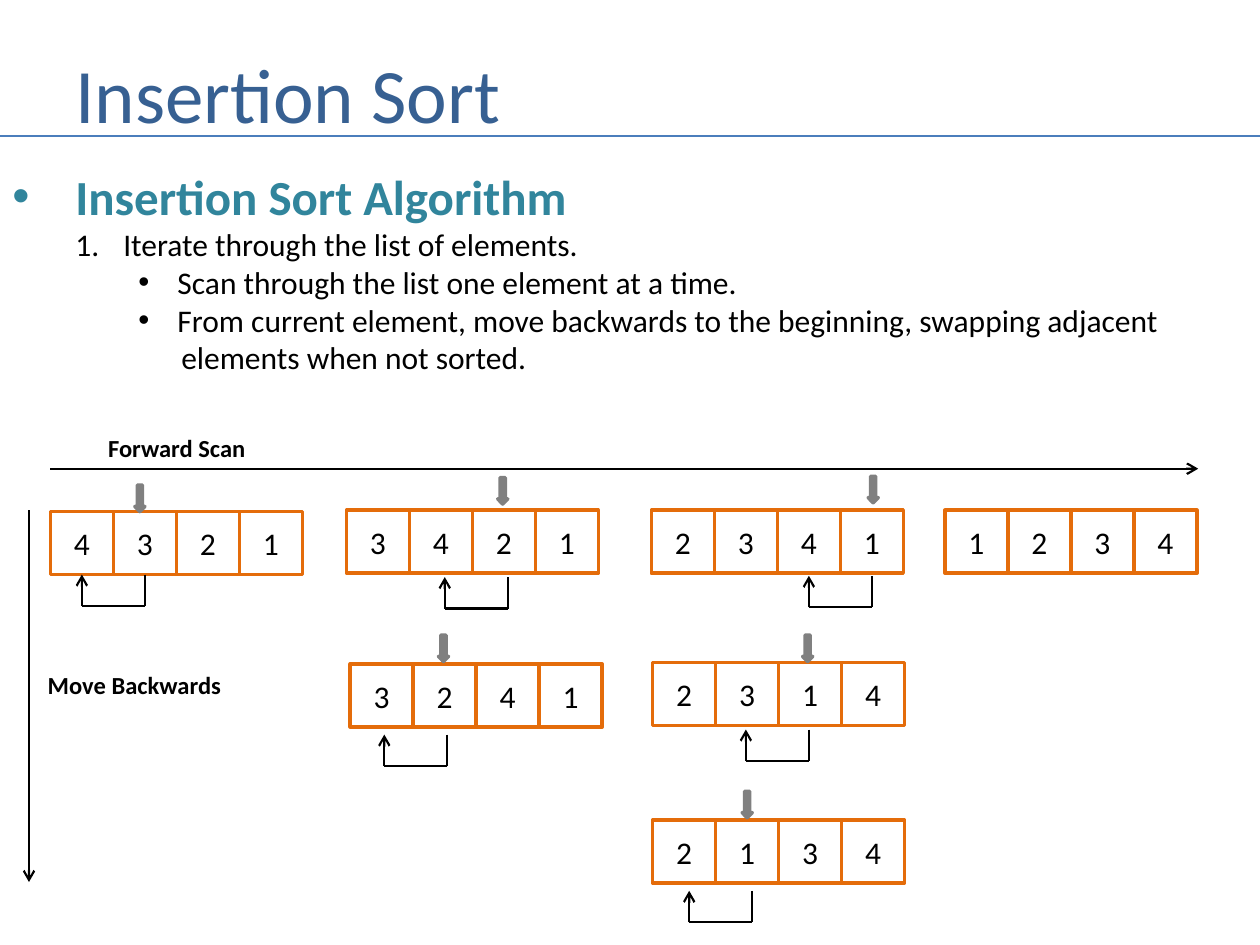
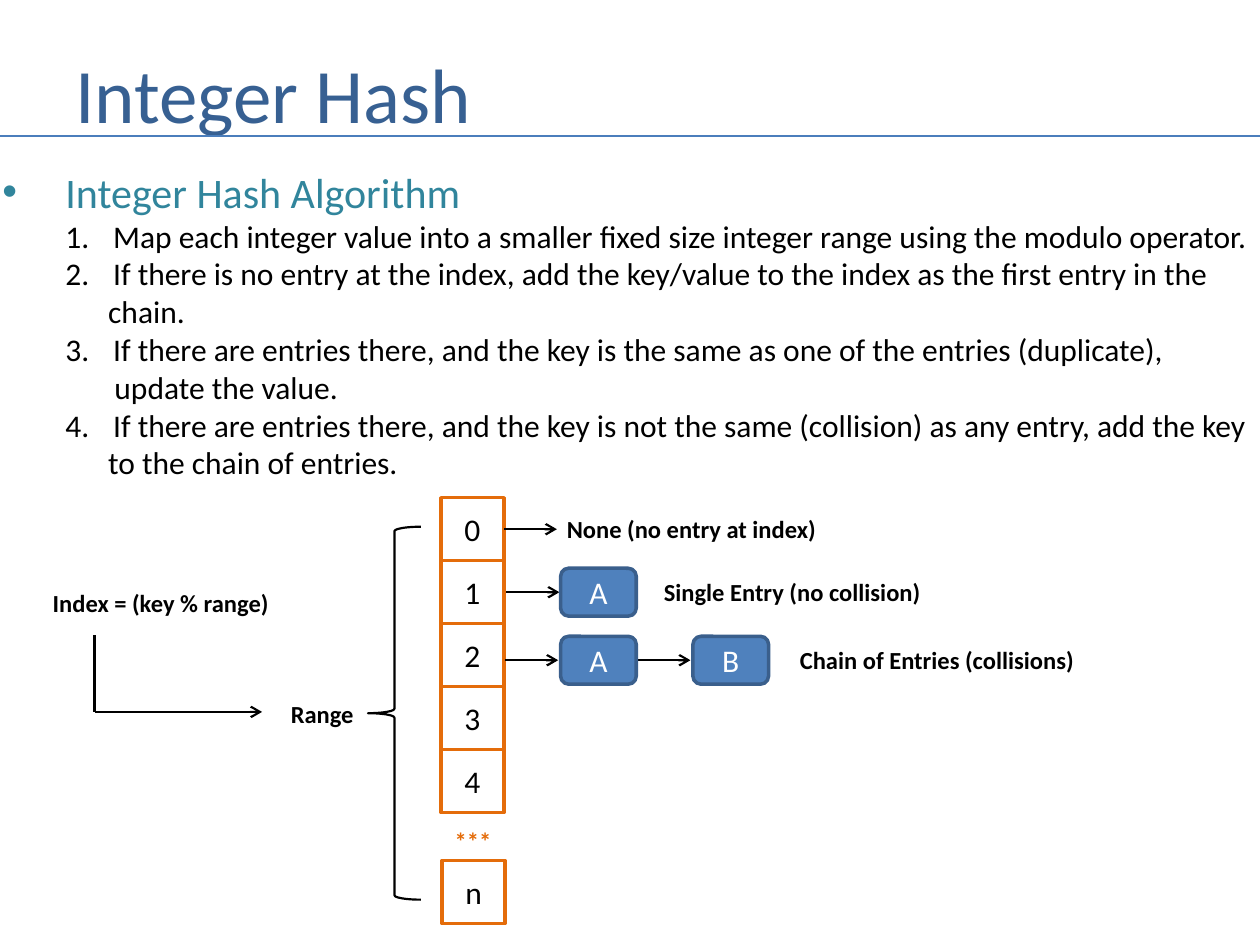
import pptx
import pptx.dml.color
import pptx.enum.shapes
import pptx.enum.text
import pptx.oxml.ns
import pptx.util
from lxml import etree

Inches = pptx.util.Inches
Pt = pptx.util.Pt
Shapes = pptx.enum.shapes.MSO_SHAPE
Align = pptx.enum.text.PP_ALIGN
Anchor = pptx.enum.text.MSO_ANCHOR
qn = pptx.oxml.ns.qn

FONT = "Calibri"
CELL = 0.5
COLOURS = {
    "title": "376092", "rule": "4B7EBC", "heading": "31859C", "ink": "000000",
    "cell": "E46C0A", "paper": "FFFFFF", "marker": "808080",
    "entry": "4F81BD", "entry_edge": "3A5F8C",
}
INDENTS = {
    "heading": (0, 0.5, -0.5),
    "step": (1, 0.88, -0.38),
    "detail": (2, 1.31, -0.31),
}

SORT_LINES = [
    ("heading", "Insertion Sort Algorithm", "•"),
    ("step", "Iterate through the list of elements.", 1),
    ("detail", "Scan through the list one element at a time.", "•"),
    ("detail", "From current element, move backwards to the beginning, swapping adjacent", "•"),
    ("detail", "elements when not sorted.", 1.34),
]
HASH_LINES = [
    ("heading", "Integer Hash Algorithm", "•"),
    ("step", "Map each integer value into a smaller fixed size integer range using the modulo operator.", 1),
    ("step", "If there is no entry at the index, add the key/value to the index as the first entry in the", 1),
    ("step", "chain.", 0.84),
    ("step", "If there are entries there, and the key is the same as one of the entries (duplicate),", 3),
    ("step", "update the value.", 0.89),
    ("step", "If there are entries there, and the key is not the same (collision) as any entry, add the key", 4),
    ("step", "to the chain of entries.", 0.84),
]
SORT_STATES = [
    (0.4, 4.06, "4321", (0.67, -0.21), (0.75, 0.5)),
    (2.75, 4.05, "3421", (1.2, -0.26), (1.28, 0.53)),
    (5.17, 4.05, "2341", (1.72, -0.27), (1.75, 0.52)),
    (7.5, 4.05, "1234", None, None),
    (2.78, 5.27, "3241", (0.7, -0.23), (0.77, 0.56)),
    (5.18, 5.26, "2314", (1.19, -0.22), (1.24, 0.53)),
    (5.18, 6.51, "2134", (0.71, -0.23), (0.79, 0.56)),
]


def rgb(name):
    """Return the named colour of the palette."""
    return pptx.dml.color.RGBColor.from_string(COLOURS[name])


def style_runs(paragraph, size, colour, bold=False):
    """Format every run of a paragraph."""
    for run in paragraph.runs:
        run.font.name = FONT
        run.font.size = Pt(size)
        run.font.bold = bold
        run.font.color.rgb = rgb(colour)


def add_label(slide, text, left, top, width, height=0.34, size=14, colour="ink", bold=True):
    """Add a single line of text and return its frame."""
    frame = slide.shapes.add_textbox(*map(Inches, (left, top, width, height))).text_frame
    frame.word_wrap = False
    frame.text = text
    style_runs(frame.paragraphs[0], size, colour, bold)
    return frame


def add_line(slide, start, end, arrow=False, colour="ink", weight=1.25):
    """Draw a straight line, with an open arrowhead at its end if asked."""
    line = slide.shapes.add_connector(
        pptx.enum.shapes.MSO_CONNECTOR.STRAIGHT, *map(Inches, (*start, *end)))
    line.line.color.rgb = rgb(colour)
    line.line.width = Pt(weight)
    properties = line._element.spPr
    if arrow:
        outline = properties.find(qn("a:ln"))
        etree.SubElement(outline, qn("a:tailEnd"), type="arrow")
    etree.SubElement(properties, qn("a:effectLst"))


def add_figure(slide, kind, box, fill, edge, weight=2, text="", text_colour="ink"):
    """Add a preset shape with optional centred text."""
    figure = slide.shapes.add_shape(kind, *map(Inches, box))
    figure.shadow.inherit = False
    if fill:
        figure.fill.solid()
        figure.fill.fore_color.rgb = rgb(fill)
    else:
        figure.fill.background()
    figure.line.color.rgb = rgb(edge)
    figure.line.width = Pt(weight)
    if text:
        figure.text_frame.text = text
        figure.text_frame.vertical_anchor = Anchor.MIDDLE
        paragraph = figure.text_frame.paragraphs[0]
        paragraph.alignment = Align.CENTER
        style_runs(paragraph, 18, text_colour)
    return figure


def add_cell(slide, text, left, top, fill=None):
    """Draw one square array cell."""
    add_figure(slide, Shapes.RECTANGLE, (left, top, CELL, CELL), fill, "cell", text=text)


def set_list_format(paragraph, role, mark):
    """Indent a paragraph: text is a bullet, an int a number, a float a plain margin."""
    level, margin, hanging = INDENTS[role]
    plain = isinstance(mark, float)
    paragraph.level = level
    properties = paragraph._p.get_or_add_pPr()
    properties.set("marL", str(Inches(mark if plain else margin)))
    properties.set("indent", str(0 if plain else Inches(hanging)))
    if plain:
        etree.SubElement(properties, qn("a:buNone"))
    elif isinstance(mark, int):
        etree.SubElement(properties, qn("a:buFont"), typeface="+mj-lt")
        number = etree.SubElement(properties, qn("a:buAutoNum"), type="arabicPeriod")
        if mark > 1:
            number.set("startAt", str(mark))
    else:
        etree.SubElement(properties, qn("a:buFont"), typeface="Arial")
        etree.SubElement(properties, qn("a:buChar"), char=mark)


def add_outline(slide, box, lines, heading_size, heading_bold):
    """Write the heading and the steps of an algorithm."""
    frame = slide.shapes.add_textbox(*map(Inches, box)).text_frame
    frame.word_wrap = False
    for index, (role, text, mark) in enumerate(lines):
        paragraph = frame.add_paragraph() if index else frame.paragraphs[0]
        paragraph.text = text
        set_list_format(paragraph, role, mark)
        if role == "heading":
            style_runs(paragraph, heading_size, "heading", heading_bold)
        else:
            style_runs(paragraph, 18, "ink")


def add_titled_slide(deck, title):
    """Add a slide with the shared title and the rule below it."""
    slide = deck.slides.add_slide(deck.slide_layouts[6])
    frame = add_label(slide, title, 0.5, 0.3, 9.08, 0.87, 44, "title", False)
    frame.word_wrap = True
    frame.vertical_anchor = Anchor.MIDDLE
    add_line(slide, (0, 1.08), (10, 1.08), colour="rule", weight=1.5)
    return slide


def add_swap_loop(slide, right, top):
    """Draw the bracket arrow from one cell back to the cell before it."""
    left, bottom = right - CELL, top + 0.25
    corners = [(right, top), (right, bottom), (left, bottom), (left, top)]
    for index, (start, end) in enumerate(zip(corners, corners[1:])):
        add_line(slide, start, end, arrow=index == 2)


def add_sort_state(slide, left, top, values, marker, swap):
    """Draw one state of the list with its current marker and swap."""
    for index, value in enumerate(values):
        add_cell(slide, value, left + index * CELL, top, "paper" if index else None)
    if marker:
        add_figure(slide, Shapes.DOWN_ARROW, (left + marker[0], top + marker[1], 0.08, 0.21),
                   "marker", "marker")
    if swap:
        add_swap_loop(slide, left + swap[0], top + swap[1])


def add_insertion_sort(deck):
    """Build the insertion sort slide."""
    slide = add_titled_slide(deck, "Insertion Sort")
    add_outline(slide, (0, 1.27, 9.32, 1.78), SORT_LINES, 28, True)
    add_line(slide, (0.4, 3.72), (9.51, 3.72), arrow=True)
    add_label(slide, "Forward Scan", 0.76, 3.39, 1.3)
    add_line(slide, (0.23, 4.05), (0.23, 7), arrow=True)
    add_label(slide, "Move Backwards", 0.28, 5.27, 1.59)
    for state in SORT_STATES:
        add_sort_state(slide, *state)


def add_buckets(slide, left, top):
    """Draw the column of index cells and the brace that spans it."""
    for index in range(5):
        add_cell(slide, str(index), left, top + index * CELL)
    add_label(slide, "***", left + 0.01, top + 2.56, 0.5, colour="cell")
    add_cell(slide, "n", left + 0.01, top + 2.88)
    brace = add_figure(slide, Shapes.RIGHT_BRACE, (left - 0.58, top + 0.23, 0.42, 2.96),
                       None, "ink", 1.25)
    brace.rotation = 180


def add_chain(slide, left, middle, entries, caption, caption_left, caption_width):
    """Draw the arrows and entries that hang off one index, and their caption."""
    pitch = 1.05
    for index in range(max(1, len(entries))):
        start = left + index * pitch
        add_line(slide, (start, middle), (start + 0.42, middle), arrow=True)
    for index, entry in enumerate(entries):
        add_figure(slide, Shapes.ROUNDED_RECTANGLE,
                   (4.45 + index * pitch, middle - 0.19, 0.6, 0.38),
                   "entry", "entry_edge", text=entry, text_colour="paper")
    add_label(slide, caption, caption_left, middle - 0.17, caption_width)


def add_integer_hash(deck):
    """Build the integer hash slide."""
    slide = add_titled_slide(deck, "Integer Hash")
    add_outline(slide, (-0.08, 1.27, 10.25, 2.63), HASH_LINES, 24, False)
    add_buckets(slide, 3.5, 3.95)
    add_chain(slide, 4, 4.2, "", "None (no entry at index)", 4.4, 2.19)
    add_chain(slide, 4.02, 4.7, "A", "Single Entry (no collision)", 5.17, 2.26)
    add_chain(slide, 4.01, 5.24, "AB", "Chain of Entries (collisions)", 6.25, 2.4)
    add_label(slide, "Index = (key % range)", 0.32, 4.62, 1.92)
    add_label(slide, "Range", 2.21, 5.5, 0.7)
    add_line(slide, (0.75, 5.04), (0.75, 5.65))
    add_line(slide, (0.75, 5.65), (2.08, 5.65), arrow=True)


def main():
    """Build and save the presentation."""
    deck = pptx.Presentation()
    deck.slide_width, deck.slide_height = Inches(10), Inches(7.5)
    add_insertion_sort(deck)
    add_integer_hash(deck)
    deck.save("out.pptx")


if __name__ == "__main__":
    main()
